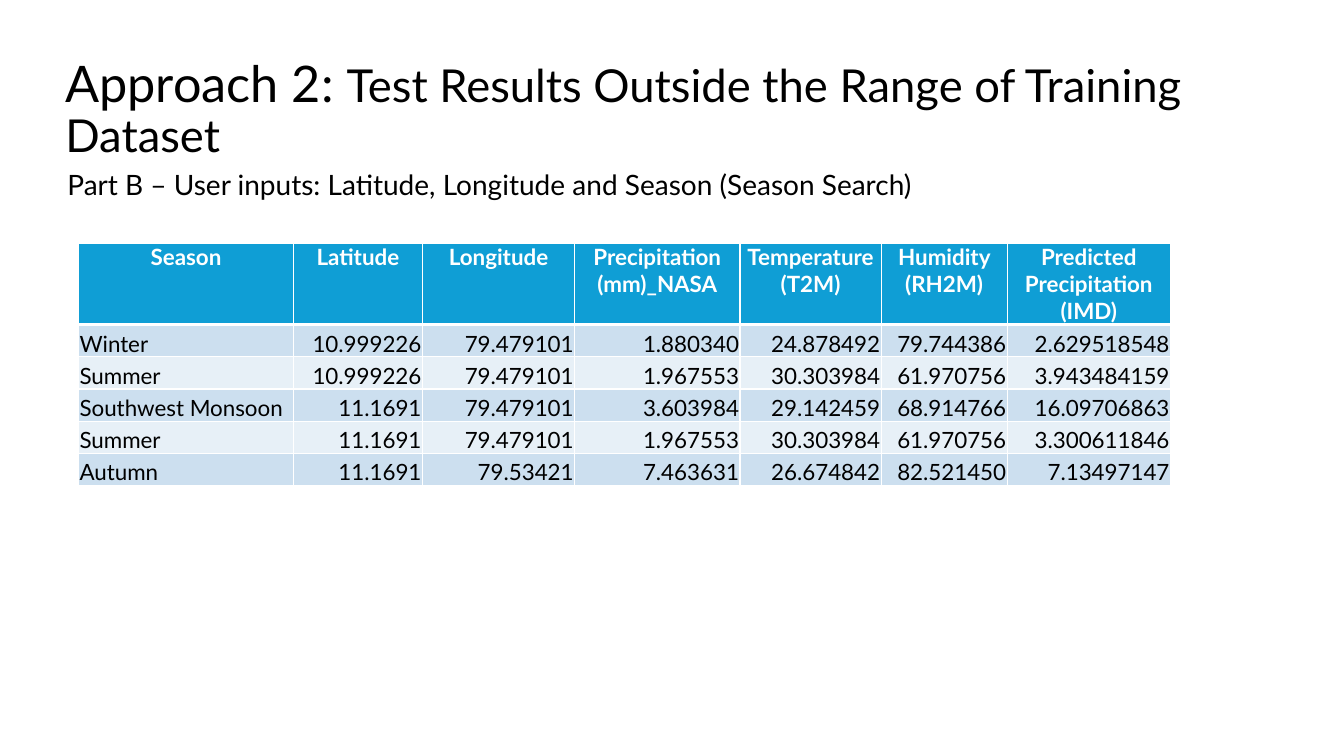
from lxml import etree
from pptx import Presentation
from pptx.dml.color import RGBColor
from pptx.enum.text import MSO_ANCHOR, PP_ALIGN
from pptx.oxml.ns import qn
from pptx.util import Inches, Pt

TOP, BOTTOM = MSO_ANCHOR.TOP, MSO_ANCHOR.BOTTOM
LEFT, CENTER, RIGHT = PP_ALIGN.LEFT, PP_ALIGN.CENTER, PP_ALIGN.RIGHT
UNIT = Inches(0.1)
HUES = {"ink": "000000", "white": "FFFFFF", "head": "0F9ED5",
        "odd": "CCDFEF", "even": "E7F0F7"}

HEADS = ["Season", "Latitude", "Longitude", "Precipitation (mm)_NASA",
         "Temperature (T2M)", "Humidity (RH2M)", "Predicted Precipitation (IMD)"]
TESTS = [
    ["Winter", "10.999226", "79.479101", "1.880340", "24.878492", "79.744386", "2.629518548"],
    ["Summer", "10.999226", "79.479101", "1.967553", "30.303984", "61.970756", "3.943484159"],
    ["Southwest Monsoon", "11.1691", "79.479101", "3.603984", "29.142459", "68.914766", "16.09706863"],
    ["Summer", "11.1691", "79.479101", "1.967553", "30.303984", "61.970756", "3.300611846"],
    ["Autumn", "11.1691", "79.53421", "7.463631", "26.674842", "82.521450", "7.13497147"],
]
WIDTHS = [21.3, 12.8, 15.1, 16.4, 14, 12.5, 16.2]
HEIGHTS = [7.9] + [3.2] * len(TESTS)


def units(*counts):
    return [round(count * UNIT) for count in counts]


class Board:
    """Draws styled text and tables on a slide, measured in grid columns and rows."""

    def __init__(self, slide, face):
        self.slide = slide
        self.face = face

    def style(self, para, size, hue, bold=False):
        font = para.font
        font.name, font.size, font.bold = self.face, Pt(size), bold
        font.color.rgb = RGBColor.from_string(HUES[hue])

    def text(self, spot, parts, anchor=TOP, foot=0.5):
        frame = self.slide.shapes.add_textbox(*units(*spot)).text_frame
        frame.word_wrap = True
        frame.vertical_anchor = anchor
        frame.margin_bottom = units(foot)[0]
        para = frame.paragraphs[0]
        para.line_spacing = 0.9
        self.style(para, parts[0][1], "ink")
        for words, size in parts:
            run = para.add_run()
            run.text = words
            if len(parts) > 1:
                run.font.size = Pt(size)

    def edge(self, cell, side, width):
        line = etree.SubElement(cell._tc.get_or_add_tcPr(), qn("a:" + side), w=str(Pt(width)))
        fill = etree.SubElement(line, qn("a:solidFill"))
        etree.SubElement(fill, qn("a:srgbClr"), val=HUES["white"])

    def cell(self, cell, words, align, anchor, hue, fill, widths):
        cell.text = words
        cell.vertical_anchor = anchor
        cell.margin_left = cell.margin_right = cell.margin_top = Inches(0.01)
        cell.margin_bottom = 0
        para = cell.text_frame.paragraphs[0]
        para.alignment = align
        self.style(para, 16, hue, hue == "white")
        for side, width in zip(("lnL", "lnR", "lnT", "lnB"), widths):
            self.edge(cell, side, width)
        cell.fill.solid()
        cell.fill.fore_color.rgb = RGBColor.from_string(HUES[fill])

    def table(self, left, top, widths, heights, heads, rows):
        spot = units(left, top, sum(widths), sum(heights))
        grid = self.slide.shapes.add_table(len(heights), len(widths), *spot).table
        for col, width in zip(grid.columns, units(*widths)):
            col.width = width
        for row, height in zip(grid.rows, units(*heights)):
            row.height = height
        for c, words in enumerate(heads):
            self.cell(grid.cell(0, c), words, CENTER, TOP, "white", "head", (1, 1, 1, 3))
        for r, row in enumerate(rows, 1):
            fill = "odd" if r % 2 else "even"
            rule = 3 if r == 1 else 1
            for c, words in enumerate(row):
                align = RIGHT if c else LEFT
                self.cell(grid.cell(r, c), words, align, BOTTOM, "ink", fill, (1, 1, rule, 1))


def main():
    deck = Presentation()
    deck.slide_width, deck.slide_height = Inches(13.33), Inches(7.5)
    board = Board(deck.slides.add_slide(deck.slide_layouts[6]), "Lato")
    board.text((5.5, 11.1, 122.6, 6.3),
               [("Approach 2: ", 36),
                ("Test Results Outside the Range of Training Dataset", 32.4)],
               BOTTOM, 1.3)
    board.table(7.8, 24.1, WIDTHS, HEIGHTS, HEADS, TESTS)
    board.text((5.7, 16.5, 88.6, 3.2),
               [("Part B – User inputs: Latitude, Longitude and Season (Season Search)", 20)])
    deck.save("out.pptx")


if __name__ == "__main__":
    main()
